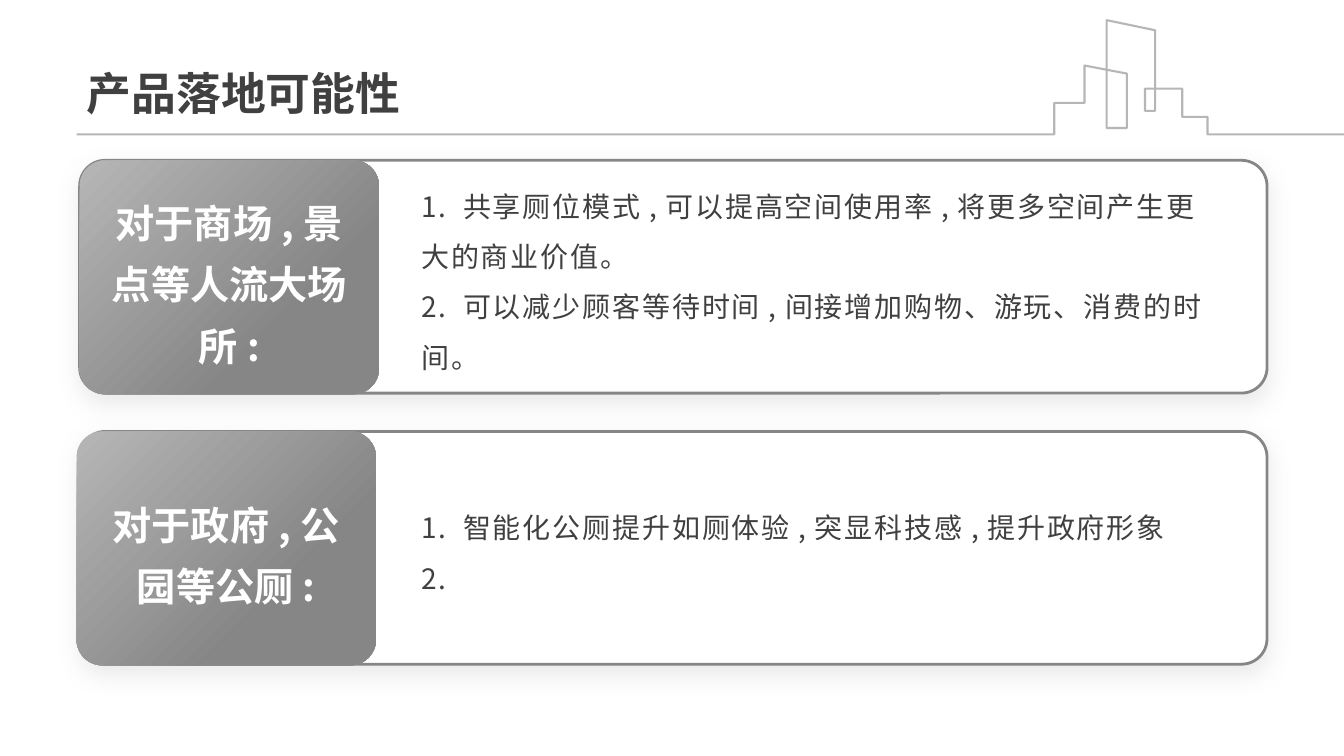
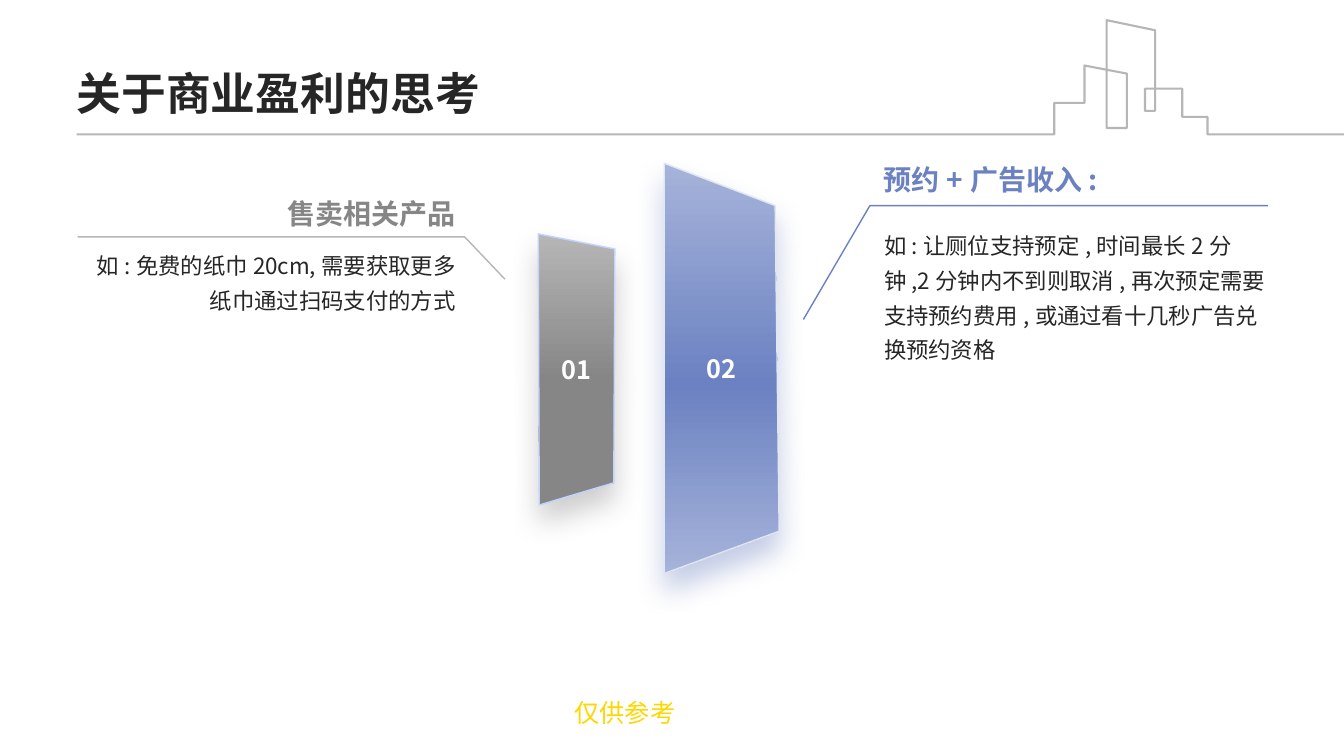
from copy import deepcopy

from lxml import etree
from pptx import Presentation
from pptx.dml.color import RGBColor
from pptx.enum.shapes import MSO_SHAPE
from pptx.enum.text import MSO_ANCHOR, PP_ALIGN
from pptx.oxml.ns import qn
from pptx.util import Inches, Pt

ROUNDED = MSO_SHAPE.ROUNDED_RECTANGLE
TOP, MIDDLE, BOTTOM = MSO_ANCHOR.TOP, MSO_ANCHOR.MIDDLE, MSO_ANCHOR.BOTTOM
LEFT, CENTER, RIGHT = PP_ALIGN.LEFT, PP_ALIGN.CENTER, PP_ALIGN.RIGHT

FONT = "Noto Sans CJK SC"
WHITE, GRAY, SILVER = "FFFFFF", "868686", "B6B6B6"
INK, BLACK, BLUE, PALE_BLUE, GOLD = "404040", "262626", "6B81C1", "A6B3DA", "FFD700"
color = RGBColor.from_string

deck = Presentation()
deck.slide_width, deck.slide_height = Inches(13.3333), Inches(7.5)
CELL = deck.slide_width // 40


def write(shape, lines, size, ink, bold=False, align=LEFT, anchor=TOP,
          leading=1.0, tracking=0, inset=(0, 0, 0, 0), wrap=True):
    frame = shape.text_frame
    frame.text = "\n".join(lines)
    frame.word_wrap = wrap
    frame.vertical_anchor = anchor
    frame.margin_left, frame.margin_top, frame.margin_right, frame.margin_bottom = [
        round(side * CELL) for side in inset]
    for para in frame.paragraphs:
        para.alignment = align
        para.line_spacing = leading
        for span in para.runs:
            span.font.size = Pt(size)
            span.font.bold = bold
            span.font.color.rgb = color(ink)
            span.font.name = FONT
            properties = span.font._element
            etree.SubElement(properties, qn("a:ea")).set("typeface", FONT)
            if tracking:
                properties.set("spc", str(round(tracking * 100)))


def paint(shape, stops=(), angle=0, line=None, width=1, shadow=None):
    shape.shadow.inherit = False
    properties = shape._element.spPr
    if len(stops) > 1:
        shape.fill.gradient()
        shape.fill.gradient_angle = 360 - angle
        stop_list = properties.find(".//" + qn("a:gsLst"))
        while len(stop_list) < len(stops):
            stop_list.append(deepcopy(stop_list[-1]))
        for stop, (position, tone) in zip(shape.fill.gradient_stops, stops):
            stop.position = position
            stop.color.rgb = color(tone)
    elif stops:
        shape.fill.solid()
        shape.fill.fore_color.rgb = color(stops[0][1])
    else:
        shape.fill.background()
    if line:
        shape.line.color.rgb = color(line)
        shape.line.width = Pt(width)
    else:
        shape.line.fill.background()
    if shadow:
        tone, opacity, blur, distance = shadow
        outer = etree.SubElement(properties.find(qn("a:effectLst")), qn("a:outerShdw"))
        outer.set("blurRad", str(Pt(blur)))
        outer.set("dist", str(Pt(distance)))
        outer.set("dir", "5400000")
        outer.set("algn", "t")
        outer.set("rotWithShape", "0")
        shade = etree.SubElement(outer, qn("a:srgbClr"))
        shade.set("val", tone)
        etree.SubElement(shade, qn("a:alpha")).set("val", str(opacity * 1000))


SKYLINE = [
    (40, 4), (35.94, 4), (35.94, 3.48), (35.19, 3.48), (35.19, 2.64), (34.08, 2.64),
    (34.08, 3.3), (34.38, 3.3), (34.38, 0.9), (32.94, 0.6), (32.94, 3.81),
    (33.54, 3.81), (33.54, 2.19), (32.28, 1.95), (32.28, 3.06), (31.38, 3.06),
    (31.38, 4), (2.28, 4),
]
TITLES = [("产品落地可能性", INK, 2.58), ("关于商业盈利的思考", BLACK, 2.28)]
CARDS = [
    (4.77, 2.37, "对于商场,景点等人流大场所:", [
        "1. 共享厕位模式,可以提高空间使用率,将更多空间产生更大的商业价值。",
        "2. 可以减少顾客等待时间,间接增加购物、游玩、消费的时间。"]),
    (12.84, 2.28, "对于政府,公园等公厕:", [
        "1. 智能化公厕提升如厕体验,突显科技感,提升政府形象", "2."]),
]
PANELS = [
    ("01", [(16.02, 6.96), (18.3, 7.41), (18.27, 14.37), (16.05, 15.03)],
     [(0, SILVER), (0.54, GRAY)], "C3D4FF", GRAY),
    ("02", [(19.77, 4.86), (23.07, 6.12), (23.19, 15.81), (19.77, 17.07)],
     [(0, PALE_BLUE), (0.54, BLUE), (1, PALE_BLUE)], "E1E6F3", BLUE),
]
LEADERS = [
    ([(2.31, 7.05), (13.83, 7.05), (15.03, 8.31)], SILVER),
    ([(23.91, 9.51), (25.89, 6.12), (37.74, 6.12)], BLUE),
]
LABELS = [
    ((26.31, 6.66, 11.37, 8.58),
     "如:让厕位支持预定,时间最长2分钟,2分钟内不到则取消,再次预定需要支持预约费用,或通过看十几秒广告兑换预约资格",
     16, BLACK, False, LEFT, TOP, 1.3),
    ((26.31, 4.02, 10.68, 1.83), "预约+广告收入:", 20, BLUE, True, LEFT, BOTTOM, 1),
    ((2.31, 7.26, 11.25, 7.68), "如:免费的纸巾20cm,需要获取更多纸巾通过扫码支付的方式",
     16, BLACK, False, RIGHT, TOP, 1.3),
    ((3.27, 4.86, 10.29, 1.98), "售卖相关产品", 20, GRAY, True, RIGHT, BOTTOM, 1),
    ((17.1, 20.76, 3.6, 0.9), "仅供参考", 18, GOLD, False, LEFT, TOP, 1),
]

for title, ink, left in TITLES:
    page = deck.slides.add_slide(deck.slide_layouts[6])
    points = [(x * CELL, y * CELL) for x, y in SKYLINE]
    builder = page.shapes.build_freeform(*points[0])
    builder.add_line_segments(points[1:], close=False)
    paint(builder.convert_to_shape(), line=SILVER, width=1.5)
    box = page.shapes.add_textbox(*[round(side * CELL) for side in (left, 1.17, 34.8, 2.37)])
    write(box, [title], 32, ink, bold=True, anchor=BOTTOM)

feasibility, profit = deck.slides

for top, tab_left, heading, lines in CARDS:
    card = feasibility.shapes.add_shape(
        ROUNDED, *[round(side * CELL) for side in (2.37, top, 35.34, 6.93)])
    card.adjustments[0] = 0.11
    paint(card, [(0, WHITE)], line=GRAY, width=2, shadow=(GRAY, 16, 16, 6))
    box = feasibility.shapes.add_textbox(
        *[round(side * CELL) for side in (12.54, top + 0.93, 23.88, 5.1)])
    write(box, lines, 20, INK, anchor=MIDDLE, leading=1.5, tracking=1.3,
          inset=(0, 0, 0, 0.24))
    tab = feasibility.shapes.add_shape(
        ROUNDED, *[round(side * CELL) for side in (tab_left, top, 8.91, 6.96)])
    tab.adjustments[0] = 0.11
    paint(tab, [(0, SILVER), (0.69, GRAY)], angle=45)
    write(tab, [heading], 28, WHITE, bold=True, align=CENTER, anchor=MIDDLE,
          leading=1.3, inset=(0.3, 0.15, 0.3, 0.15))

for number, corners, stops, edge, shade in PANELS:
    points = [(x * CELL, y * CELL) for x, y in corners]
    builder = profit.shapes.build_freeform(*points[0])
    builder.add_line_segments(points[1:], close=True)
    panel = builder.convert_to_shape()
    paint(panel, stops, angle=90, line=edge, shadow=(shade, 40, 20, 12))
    write(panel, [number], 18, WHITE, bold=True, align=CENTER, anchor=MIDDLE, wrap=False)

for corners, tone in LEADERS:
    points = [(x * CELL, y * CELL) for x, y in corners]
    builder = profit.shapes.build_freeform(*points[0])
    builder.add_line_segments(points[1:], close=False)
    paint(builder.convert_to_shape(), line=tone)

for area, text, size, ink, bold, align, anchor, leading in LABELS:
    box = profit.shapes.add_textbox(*[round(side * CELL) for side in area])
    write(box, [text], size, ink, bold, align, anchor, leading)

deck.save("out.pptx")
